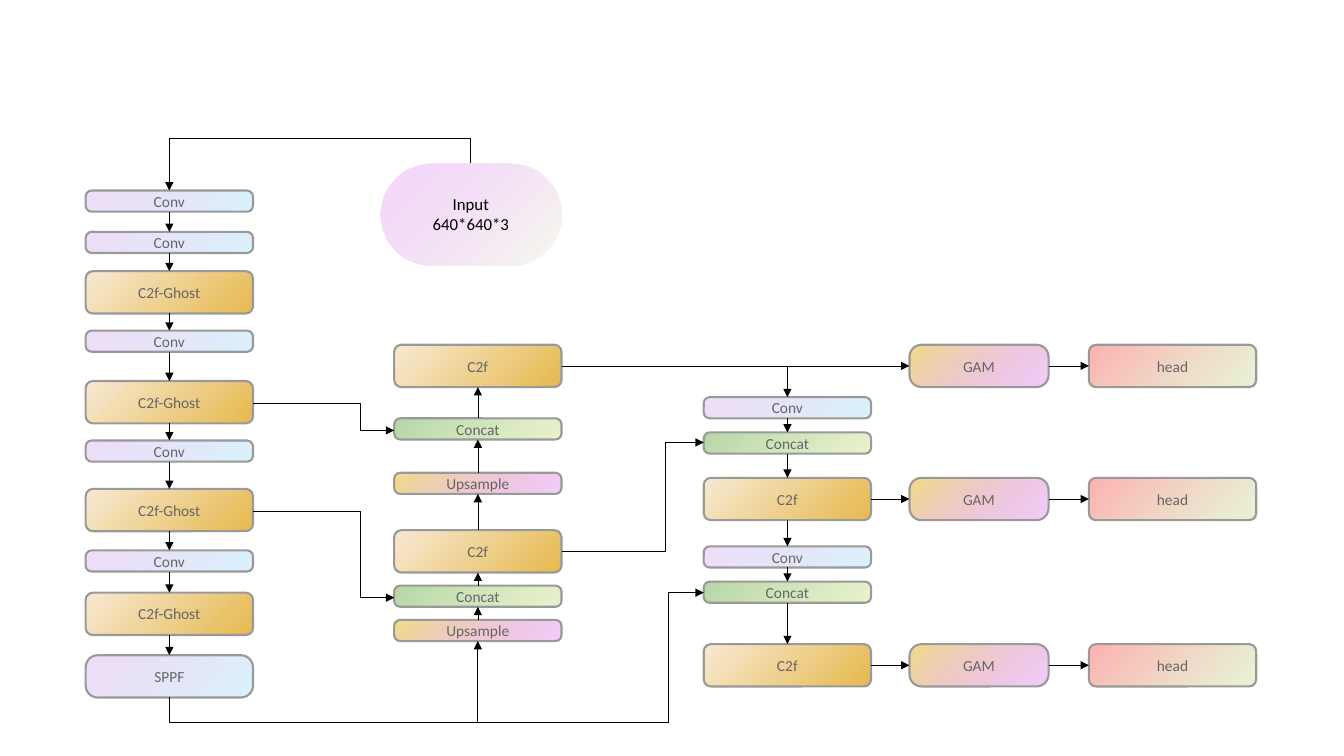
from dataclasses import dataclass
from itertools import pairwise

from lxml import etree
from pptx import Presentation
from pptx.dml.color import RGBColor
from pptx.enum.shapes import MSO_CONNECTOR, MSO_SHAPE
from pptx.enum.text import MSO_ANCHOR, PP_ALIGN
from pptx.oxml.ns import qn
from pptx.util import Inches, Pt

ROUNDED = MSO_SHAPE.ROUNDED_RECTANGLE
STRAIGHT = MSO_CONNECTOR.STRAIGHT
ELBOW = MSO_CONNECTOR.ELBOW
CENTER = PP_ALIGN.CENTER
MIDDLE = MSO_ANCHOR.MIDDLE
TOP, LEFT, BOTTOM, RIGHT = range(4)

BLACK = RGBColor(0x00, 0x00, 0x00)
TEXT_GRAY = RGBColor(0x66, 0x66, 0x66)
BORDER_GRAY = RGBColor(0x99, 0x99, 0x99)
SKY = RGBColor(0x69, 0xD4, 0xF4)
VIOLET = RGBColor(0x9F, 0x39, 0xD5)
CREAM = RGBColor(0xF7, 0xE9, 0xD4)
GOLD = RGBColor(0xE6, 0xB9, 0x4E)
ORCHID = RGBColor(0xDE, 0x87, 0xF1)
YELLOW = RGBColor(0xF1, 0xDD, 0x87)
LIME = RGBColor(0xE0, 0xED, 0xBA)
GREEN = RGBColor(0xB6, 0xD7, 0xA8)
PALE_LIME = RGBColor(0xD8, 0xED, 0xBA)
CORAL = RGBColor(0xFE, 0x96, 0x96)
MAGENTA = RGBColor(0xBF, 0x06, 0xE8)

FONT = "Calibri"
BLOCK_WIDTH, GAM_WIDTH = 1.66, 1.38
THIN, TALL = 0.21, 0.42
UP_LEFT, DOWN_RIGHT = 135, 315


@dataclass
class Gradient:
    colors: tuple
    opacities: tuple
    angle: int = UP_LEFT


CONV_FILL = Gradient((SKY, VIOLET), (26, 17))
C2F_FILL = Gradient((CREAM, GOLD), (100, 100), DOWN_RIGHT)
UPSAMPLE_FILL = Gradient((ORCHID, YELLOW), (40, 100))
CONCAT_FILL = Gradient((LIME, GREEN), (71, 100))
HEAD_FILL = Gradient((PALE_LIME, CORAL), (58, 74))
INPUT_FILL = Gradient((PALE_LIME, MAGENTA), (26, 17))

BLOCKS = {
    "Conv": (CONV_FILL, BLOCK_WIDTH, THIN, 0.285),
    "SPPF": (CONV_FILL, BLOCK_WIDTH, TALL, 0.285),
    "C2f": (C2F_FILL, BLOCK_WIDTH, TALL, 0.167),
    "C2f-Ghost": (C2F_FILL, BLOCK_WIDTH, TALL, 0.167),
    "Upsample": (UPSAMPLE_FILL, BLOCK_WIDTH, THIN, 0.285),
    "Concat": (CONCAT_FILL, BLOCK_WIDTH, THIN, 0.285),
    "GAM": (UPSAMPLE_FILL, GAM_WIDTH, TALL, 0.285),
    "head": (HEAD_FILL, BLOCK_WIDTH, TALL, 0.167),
}


def add_rounded(slide, text, left, top, width, height, corner, gradient, size, color):
    shape = slide.shapes.add_shape(
        ROUNDED, Inches(left), Inches(top), Inches(width), Inches(height))
    shape.shadow.inherit = False
    shape.adjustments[0] = corner
    shape.fill.gradient()
    shape.fill.gradient_angle = gradient.angle
    for stop, stop_color in zip(shape.fill.gradient_stops, gradient.colors):
        stop.color.rgb = stop_color
    for element, opacity in zip(shape.element.iter(qn("a:srgbClr")), gradient.opacities):
        if opacity < 100:
            etree.SubElement(element, qn("a:alpha"), val=str(opacity * 1000))
    shape.line.fill.background()
    frame = shape.text_frame
    frame.margin_left = frame.margin_right = Inches(0.1)
    frame.margin_top = frame.margin_bottom = Inches(0.1)
    frame.vertical_anchor = MIDDLE
    frame.text = text
    for paragraph in frame.paragraphs:
        paragraph.alignment = CENTER
        paragraph.font.name = FONT
        paragraph.font.size = Pt(size)
        paragraph.font.color.rgb = color
    return shape


def add_block(slide, label, left, top):
    gradient, width, height, corner = BLOCKS[label]
    shape = add_rounded(slide, label, left, top, width, height, corner, gradient, 11, TEXT_GRAY)
    shape.line.color.rgb = BORDER_GRAY
    shape.line.width = Pt(1.5)
    return shape


def style_arrow(connector):
    connector.line.color.rgb = BLACK
    connector.line.width = Pt(0.5)
    line = connector.element.spPr.find(qn("a:ln"))
    etree.SubElement(line, qn("a:tailEnd"), type="triangle")
    etree.SubElement(connector.element.spPr, qn("a:effectLst"))


def join(slide, source, source_side, target, target_side):
    connector = slide.shapes.add_connector(STRAIGHT, 0, 0, 0, 0)
    connector.begin_connect(source, source_side)
    connector.end_connect(target, target_side)
    style_arrow(connector)


def bend(connector, ratio):
    guides = connector.element.spPr.find(qn("a:prstGeom")).find(qn("a:avLst"))
    etree.SubElement(guides, qn("a:gd"), name="adj1", fmla=f"val {round(ratio * 100000)}")
    style_arrow(connector)


def add_side_elbow(slide, start, end, turn_x):
    connector = slide.shapes.add_connector(ELBOW, *map(Inches, start + end))
    bend(connector, (turn_x - start[0]) / (end[0] - start[0]))


def add_loop_elbow(slide, start, end, turn_y):
    across, down = end[0] - start[0], end[1] - start[1]
    width, height = abs(down), abs(across)
    left = (start[0] + end[0] - width) / 2
    top = (start[1] + end[1] - height) / 2
    connector = slide.shapes.add_connector(
        ELBOW, *map(Inches, (left, top, left + width, top + height)))
    frame = connector.element.spPr.find(qn("a:xfrm"))
    frame.set("rot", str((90 if across > 0 else 270) * 60000))
    frame.set("flipH", "1")
    frame.set("flipV", "1")
    bend(connector, (turn_y - start[1]) / down)


def add_chain(slide, left, top, steps, exit_side, entry_side):
    blocks = [add_block(slide, label, left, top + offset) for label, offset in steps]
    for source, target in pairwise(blocks):
        join(slide, source, exit_side, target, entry_side)
    return blocks


def add_backbone(slide, left, top):
    steps = [("Conv", 0), ("Conv", 0.41), ("C2f-Ghost", 0.8), ("Conv", 1.39),
             ("C2f-Ghost", 1.89), ("Conv", 2.48), ("C2f-Ghost", 2.96),
             ("Conv", 3.57), ("C2f-Ghost", 3.99), ("SPPF", 4.61)]
    add_chain(slide, left, top, steps, BOTTOM, TOP)


def add_upward_neck(slide, left, top):
    steps = [("Upsample", 2.73), ("Concat", 2.39), ("C2f", 1.84),
             ("Upsample", 1.27), ("Concat", 0.73), ("C2f", 0)]
    return add_chain(slide, left, top, steps, TOP, BOTTOM)


def add_downward_neck(slide, left, top):
    steps = [("Conv", 0), ("Concat", 0.35), ("C2f", 0.8),
             ("Conv", 1.48), ("Concat", 1.83), ("C2f", 2.45)]
    return add_chain(slide, left, top, steps, BOTTOM, TOP)


def add_heads(slide, left, top, sources):
    for source, offset in zip(sources, (0, 1.32, 2.97)):
        attention = add_block(slide, "GAM", left, top + offset)
        head = add_block(slide, "head", left + 1.78, top + offset)
        join(slide, source, RIGHT, attention, LEFT)
        join(slide, attention, RIGHT, head, LEFT)


def add_input(slide, left, top):
    add_rounded(slide, "Input\n640*640*3", left, top, 1.8, 1.01, 0.5, INPUT_FILL, 12, BLACK)


def add_cross_links(slide, downward_first):
    add_loop_elbow(slide, (4.67, 1.62), (1.68, 1.89), 1.37)
    add_loop_elbow(slide, (1.68, 6.92), (4.74, 6.36), 7.17)
    for start, end, turn_x in [
        ((2.51, 4), (3.91, 4.27), 3.58),
        ((2.51, 5.07), (3.91, 5.93), 3.58),
        ((5.57, 5.47), (6.98, 4.39), 6.6),
        ((4.74, 7.17), (6.98, 5.88), 6.63),
    ]:
        add_side_elbow(slide, start, end, turn_x)
    branch = slide.shapes.add_connector(
        STRAIGHT, Inches(7.81), Inches(3.63), Inches(7.81), Inches(3.94))
    branch.end_connect(downward_first, TOP)
    style_arrow(branch)


def main():
    presentation = Presentation()
    presentation.slide_width = Inches(13.33)
    presentation.slide_height = Inches(7.5)
    slide = presentation.slides.add_slide(presentation.slide_layouts[6])
    add_backbone(slide, 0.85, 1.89)
    upward = add_upward_neck(slide, 3.91, 3.42)
    downward = add_downward_neck(slide, 6.98, 3.94)
    add_heads(slide, 9.02, 3.42, (upward[5], downward[2], downward[5]))
    add_input(slide, 3.77, 1.62)
    add_cross_links(slide, downward[0])
    presentation.save("out.pptx")


if __name__ == "__main__":
    main()
